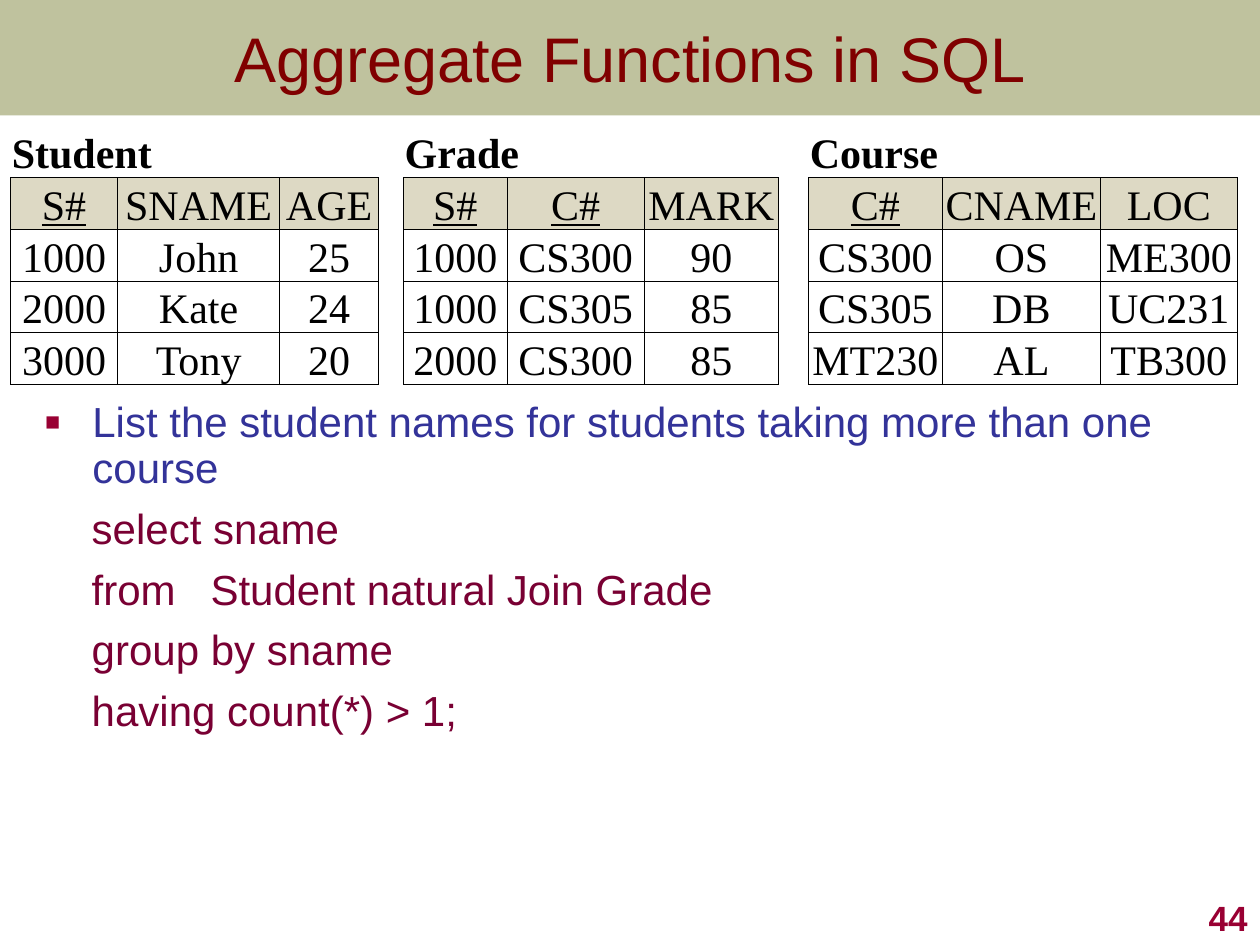
"""Builds the slide on aggregate functions in SQL with its three sample tables."""
from lxml import etree
from pptx import Presentation
from pptx import util as u
from pptx.dml.color import RGBColor
from pptx.enum import shapes, text
from pptx.oxml.ns import qn

BLACK = RGBColor(0x00, 0x00, 0x00)
WHITE = RGBColor(0xFF, 0xFF, 0xFF)
OLIVE = RGBColor(0x6E, 0x75, 0x24)
MAROON = RGBColor(0x80, 0x00, 0x00)
CRIMSON = RGBColor(0x99, 0x00, 0x33)
WINE = RGBColor(0x79, 0x00, 0x33)
INDIGO = RGBColor(0x33, 0x33, 0x99)
SAND = RGBColor(0xDD, 0xD9, 0xC4)

RELATIONS = [
    ("Student", ["S#", "SNAME", "AGE"],
     [["1000", "John", "25"], ["2000", "Kate", "24"], ["3000", "Tony", "20"]]),
    ("Grade", ["S#", "C#", "MARK"],
     [["1000", "CS300", "90"], ["1000", "CS305", "85"], ["2000", "CS300", "85"]]),
    ("Course", ["C#", "CNAME", "LOC"],
     [["CS300", "OS", "ME300"], ["CS305", "DB", "UC231"], ["MT230", "AL", "TB300"]]),
]
COLUMN_WIDTHS = [61.2, 92.6, 56.5, 14.3, 59.2, 78.4, 76.6, 17.3, 76.4, 90.5, 78]
QUESTION = "List the student names for students taking more than one course"
QUERY = [
    "    select sname",
    "    from   Student natural Join Grade",
    "    group by sname",
    "    having count(*) > 1;",
]


class Deck:
    """Holds the style and the current slide."""

    body_font, table_font, size = "Arial", "Times New Roman", 24
    row_height, hanging = 27.4, 27

    def __init__(self):
        self.prs = Presentation()
        self.prs.slide_width, self.prs.slide_height = u.Pt(720), u.Pt(540)
        self.slide = self.prs.slides.add_slide(self.prs.slide_layouts[6])

    def style(self, paragraph, color, font=body_font, size=size, bold=False, underline=False):
        for run in paragraph.runs:
            run.font.name, run.font.size = font, u.Pt(size)
            run.font.bold, run.font.underline = bold, underline
            run.font.color.rgb = color

    def text_box(self, left, top, width, height):
        box = self.slide.shapes.add_textbox(*map(u.Pt, (left, top, width, height)))
        box.text_frame.word_wrap = True
        return box.text_frame

    def title(self, words, height):
        band = self.slide.shapes.add_shape(
            shapes.MSO_SHAPE.RECTANGLE, 0, 0, self.prs.slide_width, u.Pt(height))
        band.shadow.inherit = False
        band.line.fill.background()
        band.fill.solid()
        band.fill.fore_color.rgb = OLIVE
        tint = next(band._element.spPr.iter(qn("a:srgbClr")))
        etree.SubElement(tint, qn("a:alpha"), val="44000")
        frame = band.text_frame
        frame.text = words
        frame.vertical_anchor = text.MSO_ANCHOR.MIDDLE
        frame.paragraphs[0].alignment = text.PP_ALIGN.CENTER
        self.style(frame.paragraphs[0], MAROON, size=36)

    def page_number(self, number):
        frame = self.text_box(570, 504, 150, 36)
        frame.text = number
        frame.vertical_anchor = text.MSO_ANCHOR.BOTTOM
        frame.paragraphs[0].alignment = text.PP_ALIGN.RIGHT
        self.style(frame.paragraphs[0], CRIMSON, size=20, bold=True)

    def bullet(self, paragraph):
        props = paragraph._p.get_or_add_pPr()
        color = etree.SubElement(props, qn("a:buClr"))
        etree.SubElement(color, qn("a:srgbClr"), val=str(CRIMSON))
        etree.SubElement(props, qn("a:buSzPct"), val="60000")
        etree.SubElement(props, qn("a:buFont"), typeface=self.body_font)
        etree.SubElement(props, qn("a:buChar"), char="■")

    def exercise(self, question, query):
        frame = self.text_box(18.7, 226, 683.3, 313)
        frame.margin_right = 0
        frame.text = "\n".join([question, *query])
        task, *clauses = frame.paragraphs
        for paragraph in frame.paragraphs:
            props = paragraph._p.get_or_add_pPr()
            props.set("marL", str(u.Pt(self.hanging)))
            props.set("indent", str(u.Pt(-self.hanging)))
        task.line_spacing = 0.9
        self.bullet(task)
        self.style(task, INDIGO)
        for clause in clauses:
            clause.space_before = u.Pt(5.8)
            self.style(clause, WINE)

    def cell(self, cell, words, edges, fill=WHITE, centred=True, **look):
        props = cell._tc.get_or_add_tcPr()
        for side in "LRTB":
            line = etree.SubElement(props, qn(f"a:ln{side}"), w=str(u.Pt(0.5)))
            if side in edges:
                ink = etree.SubElement(line, qn("a:solidFill"))
                etree.SubElement(ink, qn("a:srgbClr"), val=str(BLACK))
            else:
                etree.SubElement(line, qn("a:noFill"))
        cell.fill.solid()
        cell.fill.fore_color.rgb = fill
        cell.margin_left = cell.margin_right = cell.margin_top = u.Pt(0.72)
        cell.margin_bottom = 0
        cell.vertical_anchor = text.MSO_ANCHOR.BOTTOM
        cell.text_frame.text = words
        paragraph = cell.text_frame.paragraphs[0]
        paragraph.alignment = text.PP_ALIGN.CENTER if centred else text.PP_ALIGN.LEFT
        self.style(paragraph, BLACK, font=self.table_font, **look)

    def relations(self, relations, widths, left, top):
        row_count = 2 + len(relations[0][2])
        grid = self.slide.shapes.add_table(
            row_count, len(widths), u.Pt(left), u.Pt(top),
            u.Pt(sum(widths)), u.Pt(row_count * self.row_height)).table
        grid.first_row = grid.horz_banding = False
        for column, width in zip(grid.columns, widths):
            column.width = u.Pt(width)
        for row in grid.rows:
            row.height = u.Pt(self.row_height)
        start = 0
        for name, fields, records in relations:
            for offset in range(len(fields)):
                self.cell(grid.cell(0, start + offset), "" if offset else name, "B",
                          centred=False, bold=True)
            grid.cell(0, start).merge(grid.cell(0, start + len(fields) - 1))
            for offset, field in enumerate(fields):
                self.cell(grid.cell(1, start + offset), field, "LRTB", SAND,
                          underline=field.endswith("#"))
                for row, record in enumerate(records, 2):
                    self.cell(grid.cell(row, start + offset), record[offset], "LRTB")
            gap = start + len(fields)
            if gap < len(widths):
                for row in range(row_count):
                    self.cell(grid.cell(row, gap), "", "LR" if row else "")
            start = gap + 1


def main():
    deck = Deck()
    deck.exercise(QUESTION, QUERY)
    deck.page_number("44")
    deck.title("Aggregate Functions in SQL", 66)
    deck.relations(RELATIONS, COLUMN_WIDTHS, 6, 72)
    deck.prs.save("out.pptx")


if __name__ == "__main__":
    main()
